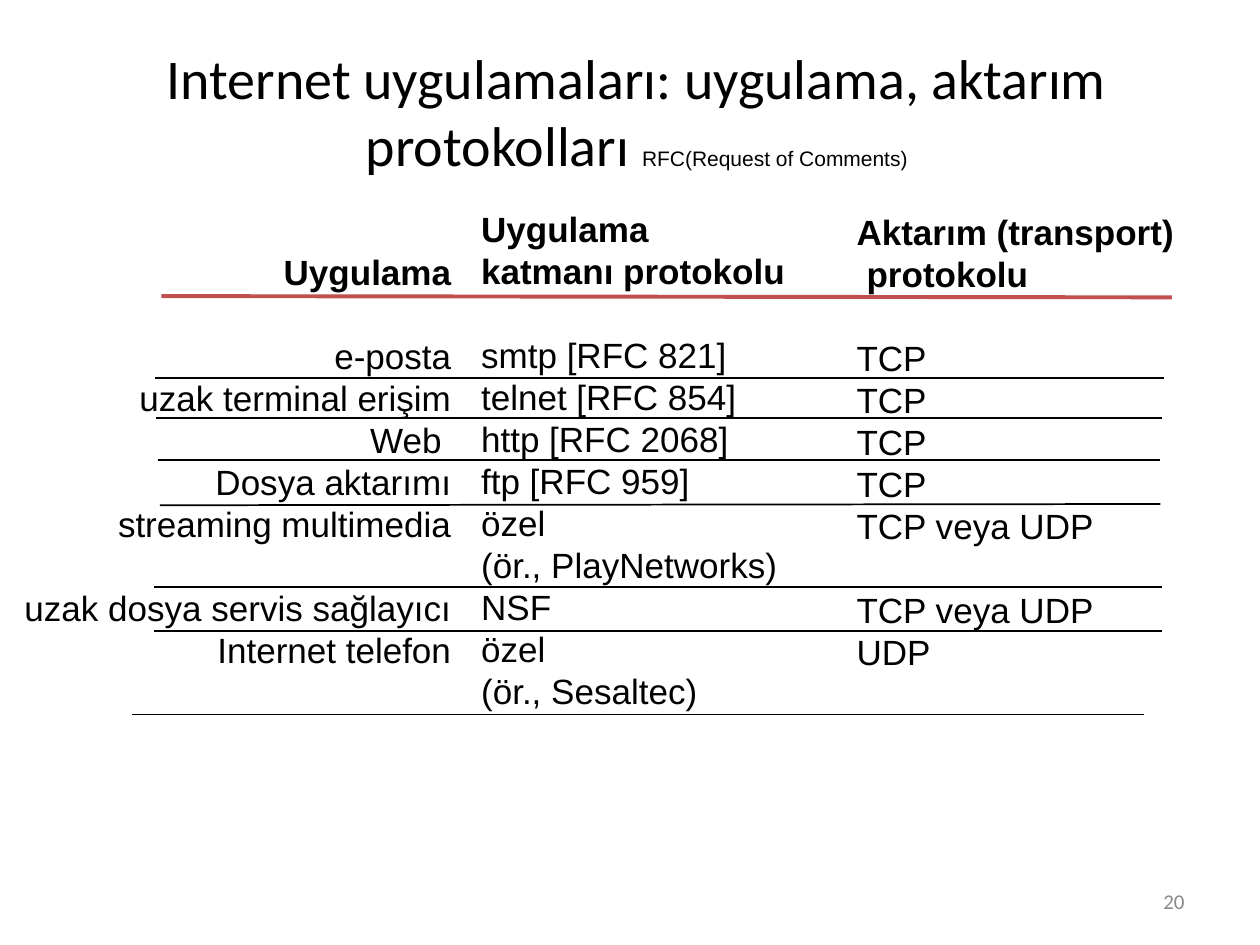
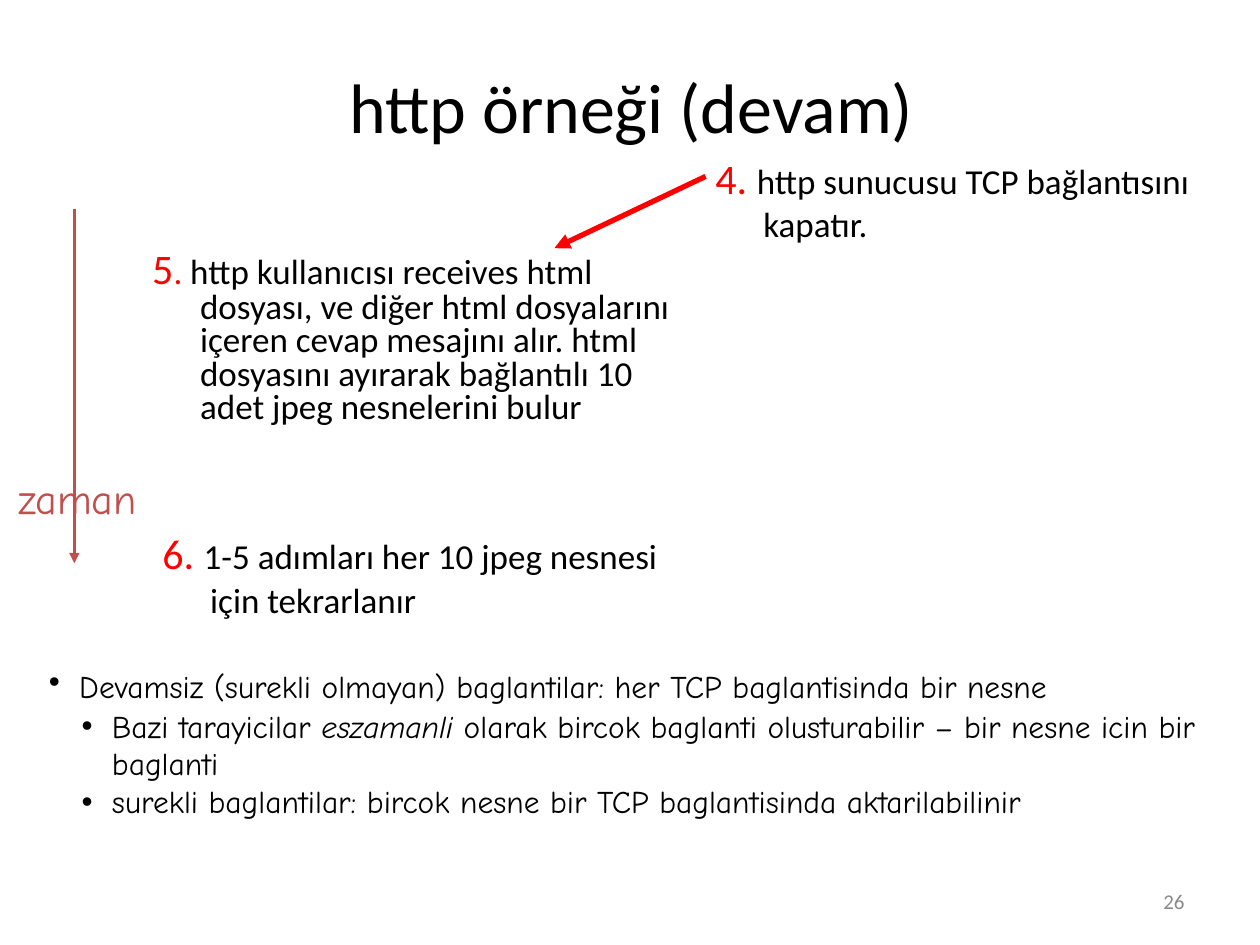
from dataclasses import dataclass

import lxml.etree
import pptx
import pptx.dml.color
import pptx.enum.shapes
import pptx.enum.text
import pptx.oxml.ns
import pptx.util

Inches = pptx.util.Inches
Pt = pptx.util.Pt
qn = pptx.oxml.ns.qn
ALIGN = pptx.enum.text.PP_ALIGN
ANCHOR = pptx.enum.text.MSO_ANCHOR

COLORS = {
    "text": "000000",
    "accent": "C0504D",
    "step": "FF0000",
    "number": "898989",
}
TITLE_FONT = "Calibri"
TABLE_FONT = "Arial"
NOTE_FONT = "Comic Neue"
ROW_PITCH = 24  # points from one table line to the next
HANG = 0.38  # hanging indent of a numbered step
BULLET_HANG = 0.24


@dataclass
class Span:
    text: str
    size: float
    font: str = TITLE_FONT
    color: str = "text"
    bold: bool = False
    italic: bool = False


@dataclass
class Entry:
    """One line of a protocol column; gap counts the empty rows above it."""
    text: str
    gap: int = 0
    header: bool = False
    indent: float = 0


@dataclass
class Column:
    left: float
    top: float
    width: float
    height: float
    align: ALIGN
    entries: list[Entry]


@dataclass
class Rule:
    start: tuple[float, float]
    end: tuple[float, float]
    color: str = "text"
    width: float = 1
    arrow: bool = False


@dataclass
class Step:
    left: float
    top: float
    width: float
    height: float
    label: list[Span]
    text: str
    line_spacing: float = 1.0


# Shared drawing functions

def add_box(page, left: float, top: float, width: float, height: float, *,
            anchor=ANCHOR.TOP, wrap: bool = True):
    box = page.shapes.add_textbox(Inches(left), Inches(top), Inches(width), Inches(height))
    frame = box.text_frame
    frame.word_wrap = wrap
    frame.vertical_anchor = anchor
    return frame


def add_spans(para, spans: list[Span]) -> None:
    for span in spans:
        run = para.add_run()
        run.text = span.text
        run.font.size = Pt(span.size)
        run.font.name = span.font
        run.font.bold = span.bold
        run.font.italic = span.italic
        run.font.color.rgb = pptx.dml.color.RGBColor.from_string(COLORS[span.color])


def next_paragraph(frame, index: int):
    return frame.paragraphs[0] if index == 0 else frame.add_paragraph()


def set_indent(para, margin: float, hang: float = 0) -> None:
    properties = para._p.get_or_add_pPr()
    properties.set("marL", str(Inches(margin)))
    properties.set("indent", str(-Inches(hang)))


def add_text(page, text: str, *, left: float, top: float, width: float, height: float,
             size: float, font: str = TITLE_FONT, color: str = "text",
             align=ALIGN.CENTER, anchor=ANCHOR.MIDDLE, wrap: bool = True):
    para = add_box(page, left, top, width, height, anchor=anchor, wrap=wrap).paragraphs[0]
    para.alignment = align
    add_spans(para, [Span(text, size, font, color)])
    return para


def add_page_number(page, number: int) -> None:
    add_text(page, str(number), left=7.17, top=6.95, width=2.33, height=0.4,
             size=12, color="number", align=ALIGN.RIGHT)


def add_rule(page, rule: Rule) -> None:
    ends = [Inches(value) for value in (*rule.start, *rule.end)]
    line = page.shapes.add_connector(pptx.enum.shapes.MSO_CONNECTOR.STRAIGHT, *ends)
    line.line.color.rgb = pptx.dml.color.RGBColor.from_string(COLORS[rule.color])
    line.line.width = Pt(rule.width)
    if rule.arrow:
        lxml.etree.SubElement(line.line._get_or_add_ln(), qn("a:tailEnd"), type="triangle")
    lxml.etree.SubElement(line._element.spPr, qn("a:effectLst"))


def add_column(page, column: Column) -> None:
    frame = add_box(page, column.left, column.top, column.width, column.height)
    for index, entry in enumerate(column.entries):
        para = next_paragraph(frame, index)
        para.alignment = column.align
        para.line_spacing = Pt(ROW_PITCH)
        if entry.gap:
            para.space_before = Pt(ROW_PITCH * entry.gap)
        if entry.indent:
            set_indent(para, entry.indent)
        add_spans(para, [Span(entry.text, 20, TABLE_FONT, bold=entry.header)])


def add_step(page, step: Step) -> None:
    para = add_box(page, step.left, step.top, step.width, step.height).paragraphs[0]
    set_indent(para, HANG, HANG)
    para.line_spacing = step.line_spacing
    add_spans(para, [*step.label, Span(step.text, 20)])


def add_bullet(para, margin: float) -> None:
    set_indent(para, margin, BULLET_HANG)
    properties = para._p.get_or_add_pPr()
    color = lxml.etree.SubElement(properties, qn("a:buClr"))
    lxml.etree.SubElement(color, qn("a:srgbClr"), val=COLORS["text"])
    lxml.etree.SubElement(properties, qn("a:buFont"), typeface="Arial")
    lxml.etree.SubElement(properties, qn("a:buChar"), char="•")


# Protocols slide

PROTOCOL_COLUMNS = [
    Column(-0.16, 1.94, 3.84, 3.77, ALIGN.RIGHT, [
        Entry("Uygulama", header=True),
        Entry("e-posta", gap=1),
        Entry("uzak terminal erişim"),
        Entry("Web "),
        Entry("Dosya aktarımı"),
        Entry("streaming multimedia"),
        Entry("uzak dosya servis sağlayıcı", gap=1),
        Entry("Internet telefon"),
    ]),
    Column(3.72, 1.6, 2.82, 4.1, ALIGN.LEFT, [
        Entry("Uygulama", header=True),
        Entry("katmanı protokolu", header=True),
        Entry("smtp [RFC 821]", gap=1),
        Entry("telnet [RFC 854]"),
        Entry("http [RFC 2068]"),
        Entry("ftp [RFC 959]"),
        Entry("özel"),
        Entry("(ör., PlayNetworks)"),
        Entry("NSF"),
        Entry("özel"),
        Entry("(ör., Sesaltec)"),
    ]),
    Column(6.7, 1.62, 2.87, 3.77, ALIGN.LEFT, [
        Entry("Aktarım (transport)", header=True),
        Entry("protokolu", header=True, indent=0.08),
        Entry("TCP", gap=1),
        Entry("TCP"),
        Entry("TCP"),
        Entry("TCP"),
        Entry("TCP veya UDP"),
        Entry("TCP veya UDP", gap=1),
        Entry("UDP"),
    ]),
]

PROTOCOL_RULES = [
    Rule((1.28, 2.35), (9.3, 2.36), "accent", 2.25),
    Rule((1.23, 3), (9.24, 3)),
    Rule((1.24, 3.32), (9.22, 3.32)),
    Rule((1.25, 3.65), (9.21, 3.65)),
    Rule((1.27, 4.01), (9.21, 4)),
    Rule((1.22, 4.66), (9.22, 4.66)),
    Rule((1.22, 5.01), (9.22, 5.01)),
    Rule((1.05, 5.67), (9.08, 5.67)),
]


def build_protocols(page) -> None:
    title = add_text(page, "Internet uygulamaları: uygulama, aktarım protokolları ",
                     left=0.27, top=0.25, width=9.57, height=1.25, size=32)
    add_spans(title, [Span("RFC(Request of Comments)", 12, TABLE_FONT)])
    for column in PROTOCOL_COLUMNS:
        add_column(page, column)
    for rule in PROTOCOL_RULES:
        add_rule(page, rule)
    add_page_number(page, 20)


# HTTP example slide

HTTP_STEPS = [
    Step(1.11, 1.95, 4.41, 1.63,
         [Span("5", 24, color="step"), Span(".", 20, color="step")],
         " http kullanıcısı receives html dosyası, ve diğer html dosyalarını içeren "
         "cevap mesajını alır. html dosyasını ayırarak bağlantılı 10 adet jpeg "
         "nesnelerini bulur", line_spacing=0.8),
    Step(1.19, 4.14, 4.17, 0.73, [Span("6. ", 24, color="step")],
         "1-5 adımları her 10 jpeg nesnesi için tekrarlanır"),
    Step(5.58, 1.16, 4.17, 0.8, [Span("4. ", 24, color="step")],
         "http sunucusu TCP bağlantısını kapatır."),
]

HTTP_ARROWS = [
    Rule((0.59, 1.66), (0.59, 4.47), "accent", 1.5, arrow=True),
    Rule((5.6, 1.4), (4.4, 1.97), "step", 3, arrow=True),
]

# Left margin of each note, then its spans
CONNECTION_NOTES = [
    (BULLET_HANG, [
        Span("Devamsiz (surekli olmayan)", 18, NOTE_FONT),
        Span(" ", 24, "Times New Roman"),
        Span("baglantilar: her TCP baglantisinda bir nesne", 18, NOTE_FONT),
    ]),
    (0.5, [
        Span("Bazi tarayicilar ", 18, NOTE_FONT),
        Span("eszamanli", 18, NOTE_FONT, italic=True),
        Span(" olarak bircok baglanti olusturabilir – bir nesne icin bir baglanti",
             18, NOTE_FONT),
    ]),
    (0.5, [
        Span("surekli baglantilar: bircok nesne bir TCP baglantisinda aktarilabilinir",
             18, NOTE_FONT),
    ]),
]


def build_http_example(page) -> None:
    add_text(page, "http örneği (devam)", left=0.55, top=0.36, width=8.92, height=0.95, size=40)
    for step in HTTP_STEPS:
        add_step(page, step)
    for arrow in HTTP_ARROWS:
        add_rule(page, arrow)
    add_text(page, "zaman", left=0.04, top=3.7, width=1.15, height=0.5, size=24,
             font=NOTE_FONT, color="accent", anchor=ANCHOR.TOP, wrap=False)
    notes = add_box(page, 0.29, 5.16, 9.49, 1.4)
    for index, (margin, spans) in enumerate(CONNECTION_NOTES):
        para = next_paragraph(notes, index)
        add_bullet(para, margin)
        add_spans(para, spans)
    add_page_number(page, 26)


def main() -> None:
    deck = pptx.Presentation()
    deck.slide_width = Inches(10)
    deck.slide_height = Inches(7.5)
    for build in (build_protocols, build_http_example):
        build(deck.slides.add_slide(deck.slide_layouts[6]))
    deck.save("out.pptx")


if __name__ == "__main__":
    main()
